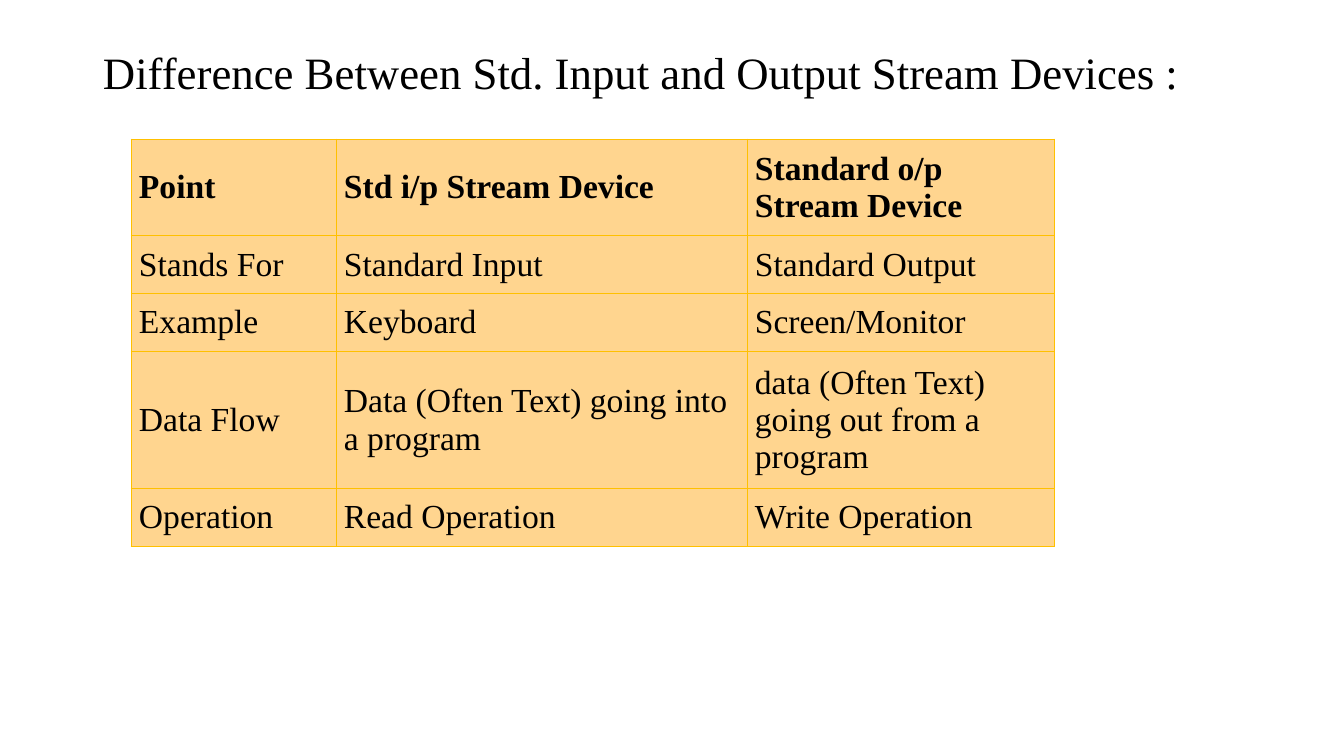
from lxml.etree import SubElement
from pptx import Presentation
from pptx.dml.color import RGBColor
from pptx.enum.text import MSO_ANCHOR
from pptx.oxml.ns import qn
from pptx.util import Emu, Pt


def px(n):
    return Emu(round(n * 914400 / 100.8))


def color(hex_string):
    return RGBColor.from_string(hex_string)


class SlideBuilder:
    FONT = "Times New Roman"
    TEXT = "000000"
    CELL_FILL = "FFD58F"
    BORDER = "FFC000"
    INSET = 8

    def __init__(self, prs):
        self.s = prs.slides.add_slide(prs.slide_layouts[6])

    def run(self, p, text, size, bold=False):
        r = p.add_run()
        r.text = text
        r.font.name = self.FONT
        r.font.size = Pt(size)
        r.font.bold = bold
        r.font.color.rgb = color(self.TEXT)

    def title(self, text, x, y, w, h):
        sp = self.s.shapes.add_textbox(px(x), px(y), px(w), px(h))
        tf = sp.text_frame
        tf.word_wrap = True
        tf.vertical_anchor = MSO_ANCHOR.MIDDLE
        p = tf.paragraphs[0]
        p.line_spacing = 0.9
        self.run(p, text, 32)

    def borders(self, cell):
        tc_pr = cell._tc.get_or_add_tcPr()
        for i, side in enumerate(("lnL", "lnR", "lnT", "lnB")):
            ln = SubElement(tc_pr, qn(f"a:{side}"), w=str(Pt(0.5)))
            fill = SubElement(ln, qn("a:solidFill"))
            SubElement(fill, qn("a:srgbClr"), val=self.BORDER)
            tc_pr.insert(i, ln)  # lines come before the cell fill

    def cell(self, cell, text, bold):
        cell.fill.solid()
        cell.fill.fore_color.rgb = color(self.CELL_FILL)
        cell.vertical_anchor = MSO_ANCHOR.MIDDLE
        cell.margin_left = cell.margin_right = px(self.INSET)
        cell.margin_top = cell.margin_bottom = px(self.INSET)
        self.run(cell.text_frame.paragraphs[0], text, 24, bold)
        self.borders(cell)

    def table(self, rows, x, y, widths, heights):
        table = self.s.shapes.add_table(
            len(rows), len(widths), px(x), px(y),
            px(sum(widths)), px(sum(heights))).table
        table.horz_banding = False
        for col, width in zip(table.columns, widths):
            col.width = px(width)
        for row, height in zip(table.rows, heights):
            row.height = px(height)
        for i, texts in enumerate(rows):
            for j, text in enumerate(texts):
                self.cell(table.cell(i, j), text, bold=i == 0)


def main():
    prs = Presentation()
    prs.slide_width, prs.slide_height = px(1344), px(756)
    slide = SlideBuilder(prs)

    # Heading
    slide.title("Difference Between Std. Input and Output Stream Devices :",
                93, 40, 1159, 70)

    # Comparison of the two stream devices
    rows = [
        ("Point", "Std i/p Stream Device", "Standard o/p Stream Device"),
        ("Stands For", "Standard Input", "Standard Output"),
        ("Example", "Keyboard", "Screen/Monitor"),
        ("Data Flow", "Data (Often Text) going into a program",
         "data (Often Text) going out from a program"),
        ("Operation", "Read Operation", "Write Operation"),
    ]
    slide.table(rows, 131, 139, widths=(205, 411, 307),
                heights=(94, 58, 58, 132, 58))

    prs.save("out.pptx")


if __name__ == "__main__":
    main()
